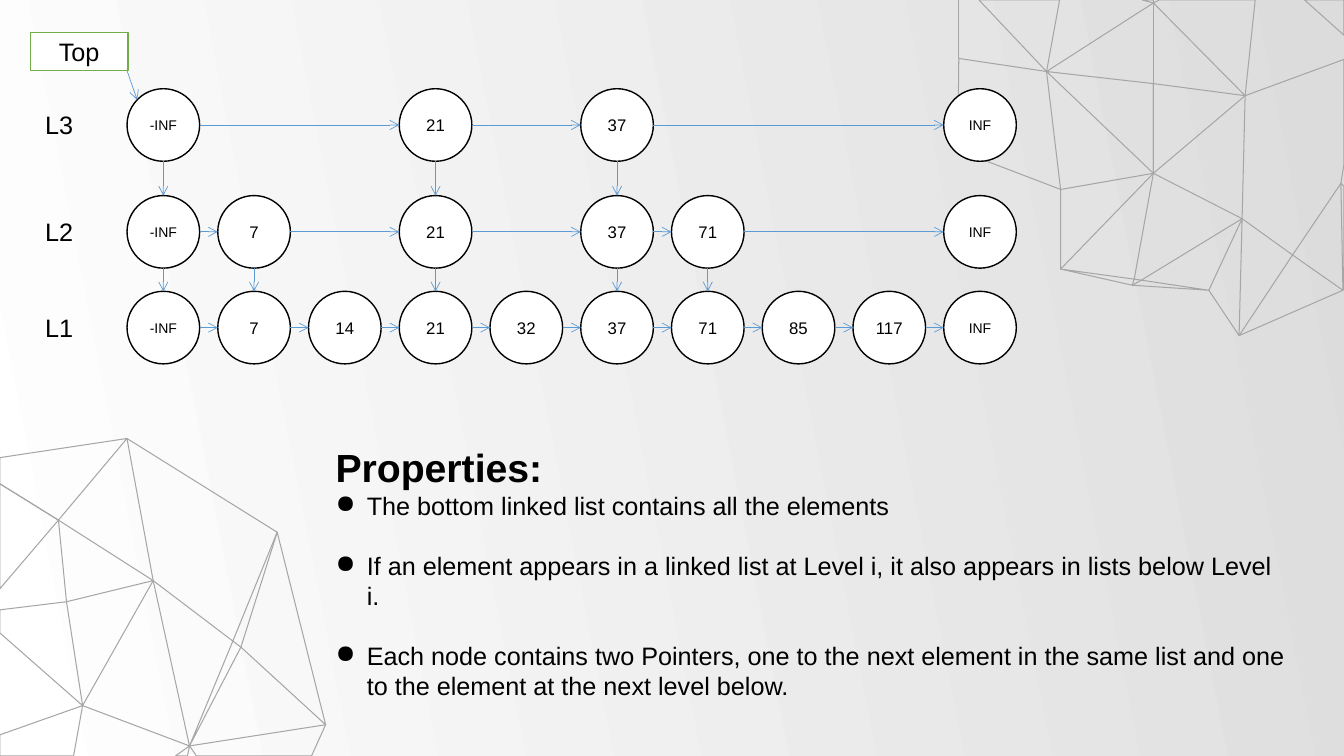
"""Build a slide that shows a skip list and its properties."""
import lxml.etree
import pptx
import pptx.dml.color
import pptx.enum.shapes
import pptx.enum.text
import pptx.oxml.ns
import pptx.util

Inches = pptx.util.Inches
Pt = pptx.util.Pt
qn = pptx.oxml.ns.qn
KINDS = pptx.enum.shapes.MSO_SHAPE
ALIGN = pptx.enum.text.PP_ALIGN

FONT = "Arial"
COLORS = {
    "white": "FFFFFF", "shade": "DCDCDC", "black": "000000",
    "mesh": "A6A6A6", "arrow": "5B9BD5", "top": "70AD47",
}
SIZE = 0.72
LEFT, STEP = 1.26, 0.9
KEYS = ["-INF", "7", "14", "21", "32", "37", "71", "85", "117", "INF"]
LEVELS = [
    ("L3", 0.88, ["-INF", "21", "37", "INF"]),
    ("L2", 1.94, ["-INF", "7", "21", "37", "71", "INF"]),
    ("L1", 2.89, KEYS),
]
FACTS = [
    "The bottom linked list contains all the elements",
    "If an element appears in a linked list at Level i, it also appears in lists below Level i.",
    "Each node contains two Pointers, one to the next element in the same list "
    "and one to the element at the next level below.",
]
LOW_MESH = {
    "a": (0, 4.54), "b": (1.26, 4.35), "c": (2.75, 5.28), "d": (0, 4.8),
    "e": (0.58, 5.16), "f": (0, 5.84), "g": (0, 6.05), "h": (0.66, 5.97),
    "i": (1.52, 5.76), "j": (2.31, 6.36), "k": (2.39, 6.42), "l": (3.23, 7.19),
    "m": (0, 6.28), "n": (0.82, 7), "o": (0, 7.29), "p": (0, 7.5),
    "q": (0.73, 7.5), "r": (1.74, 7.5), "s": (1.88, 7.4), "t": (1.86, 7.5),
    "u": (1.95, 7.5), "v": (3.09, 7.5),
}
LOW_FACES = "edf gmnh nqpo beda ihe sni str kjs cjib lkc lvus".split()
HIGH_MESH = {
    "a": (9.51, 0), "b": (9.51, 0.58), "c": (10.38, 0.71), "d": (9.71, 0),
    "e": (10.51, 0), "f": (10.52, 1.88), "g": (9.5, 1.49), "h": (11.25, 2.77),
    "i": (11.23, 2.83), "j": (10.52, 2.67), "k": (11.44, 0.03), "l": (11.33, 0),
    "m": (11.44, 0), "n": (11.44, 1.72), "o": (11.44, 0.83), "p": (11.99, 2.88),
    "q": (12.32, 2.17), "r": (12.29, 3.33), "s": (12.35, 0.95), "t": (11.5, 0),
    "u": (12.45, 0), "v": (13.32, 2.88), "w": (12.82, 2.53), "x": (13.3, 1.82),
    "y": (13.33, 1.85), "z": (13.33, 2.87), "A": (13.33, 0.59), "B": (13.33, 1.63),
    "C": (13.33, 0), "D": (13.33, 0.35), "E": (12.94, 0), "F": (11.32, 2.78),
}
HIGH_FACES = "ab edc fgbc hij ck mkl nco njf ok piF qFhn qrp sno uskt vrw yzvx ABxwqs CDE".split()


def color(name):
    """Return the named colour."""
    return pptx.dml.color.RGBColor.from_string(COLORS[name])


def style(para, size, bold=False):
    """Format the runs of a paragraph."""
    for run in para.runs:
        run.font.name = FONT
        run.font.size = Pt(size)
        run.font.bold = bold
        run.font.color.rgb = color("black")


def add_back(slide):
    """Fill the background with a gradient."""
    fill = slide.background.fill
    fill.gradient()
    fill.gradient_angle = 11
    for stop, name in zip(fill.gradient_stops, ("white", "shade")):
        stop.color.rgb = color(name)


def add_mesh(slide, points, faces):
    """Draw a wire mesh as one outline."""
    pen = None
    for face in faces:
        start, *rest = [(Inches(x), Inches(y)) for x, y in map(points.get, face)]
        if pen is None:
            pen = slide.shapes.build_freeform(*start)
        else:
            pen.move_to(*start)
        pen.add_line_segments(rest, close=True)
    mesh = pen.convert_to_shape()
    mesh.shadow.inherit = False
    mesh.fill.background()
    mesh.line.color.rgb = color("mesh")
    mesh.line.width = Pt(0.75)


def add_box(slide, kind, box, text, size, edge):
    """Add a white shape with centred text."""
    shape = slide.shapes.add_shape(kind, *map(Inches, box))
    shape.shadow.inherit = False
    shape.fill.solid()
    shape.fill.fore_color.rgb = color("white")
    shape.line.color.rgb = color(edge)
    shape.line.width = Pt(1)
    frame = shape.text_frame
    frame.word_wrap = False
    frame.vertical_anchor = pptx.enum.text.MSO_ANCHOR.MIDDLE
    frame.text = text
    frame.paragraphs[0].alignment = ALIGN.CENTER
    style(frame.paragraphs[0], size)


def add_arrow(slide, start, end):
    """Add a thin arrow between two points."""
    line = slide.shapes.add_connector(
        pptx.enum.shapes.MSO_CONNECTOR.STRAIGHT, *map(Inches, start + end))
    line.line.color.rgb = color("arrow")
    line.line.width = Pt(0.5)
    props = line.element.spPr
    lxml.etree.SubElement(props.find(qn("a:ln")), qn("a:tailEnd"), type="arrow")
    lxml.etree.SubElement(props, qn("a:effectLst"))


def add_text(slide, box, text, size, bold=False):
    """Add a text box and return its frame."""
    frame = slide.shapes.add_textbox(*map(Inches, box)).text_frame
    frame.word_wrap = True
    frame.auto_size = pptx.enum.text.MSO_AUTO_SIZE.SHAPE_TO_FIT_TEXT
    frame.text = text
    style(frame.paragraphs[0], size, bold)
    return frame


def add_fact(frame, text, gap):
    """Append a bullet with a gap above it."""
    para = frame.add_paragraph()
    para.text = text
    para.space_before = Pt(gap)
    style(para, 18)
    props = para._p.get_or_add_pPr()
    props.set("marL", str(Inches(0.31)))
    props.set("indent", str(-Inches(0.31)))
    lxml.etree.SubElement(props, qn("a:buChar"), char="●")


def add_list(slide):
    """Draw the levels with their nodes and arrows."""
    spots = {key: LEFT + STEP * i for i, key in enumerate(KEYS)}
    half = SIZE / 2
    for label, top, keys in LEVELS:
        add_text(slide, (0.35, top + 0.16, 0.87, 0.4), label, 18)
        for key in keys:
            size = 10 if "INF" in key else 12
            add_box(slide, KINDS.OVAL, (spots[key], top, SIZE, SIZE), key, size, "black")
        for key, after in zip(keys, keys[1:]):
            add_arrow(slide, (spots[key] + SIZE, top + half), (spots[after], top + half))
    for (_, top, keys), (_, below, _) in zip(LEVELS, LEVELS[1:]):
        for key in keys[:-1]:
            mid = spots[key] + half
            add_arrow(slide, (mid, top + SIZE), (mid, below))


def main():
    """Build and save the slide."""
    deck = pptx.Presentation()
    deck.slide_width, deck.slide_height = Inches(13.33), Inches(7.5)
    slide = deck.slides.add_slide(deck.slide_layouts[6])
    add_back(slide)
    add_mesh(slide, LOW_MESH, LOW_FACES)
    add_mesh(slide, HIGH_MESH, HIGH_FACES)
    add_list(slide)
    add_box(slide, KINDS.RECTANGLE, (0.3, 0.32, 0.97, 0.38), "Top", 18, "top")
    add_arrow(slide, (1.26, 0.7), (1.36, 0.99))
    frame = add_text(slide, (3.23, 4.35, 9.66, 2.39), "Properties:", 28, True)
    for i, fact in enumerate(FACTS):
        add_fact(frame, fact, 21 if i else 0)
    deck.save("out.pptx")


if __name__ == "__main__":
    main()
